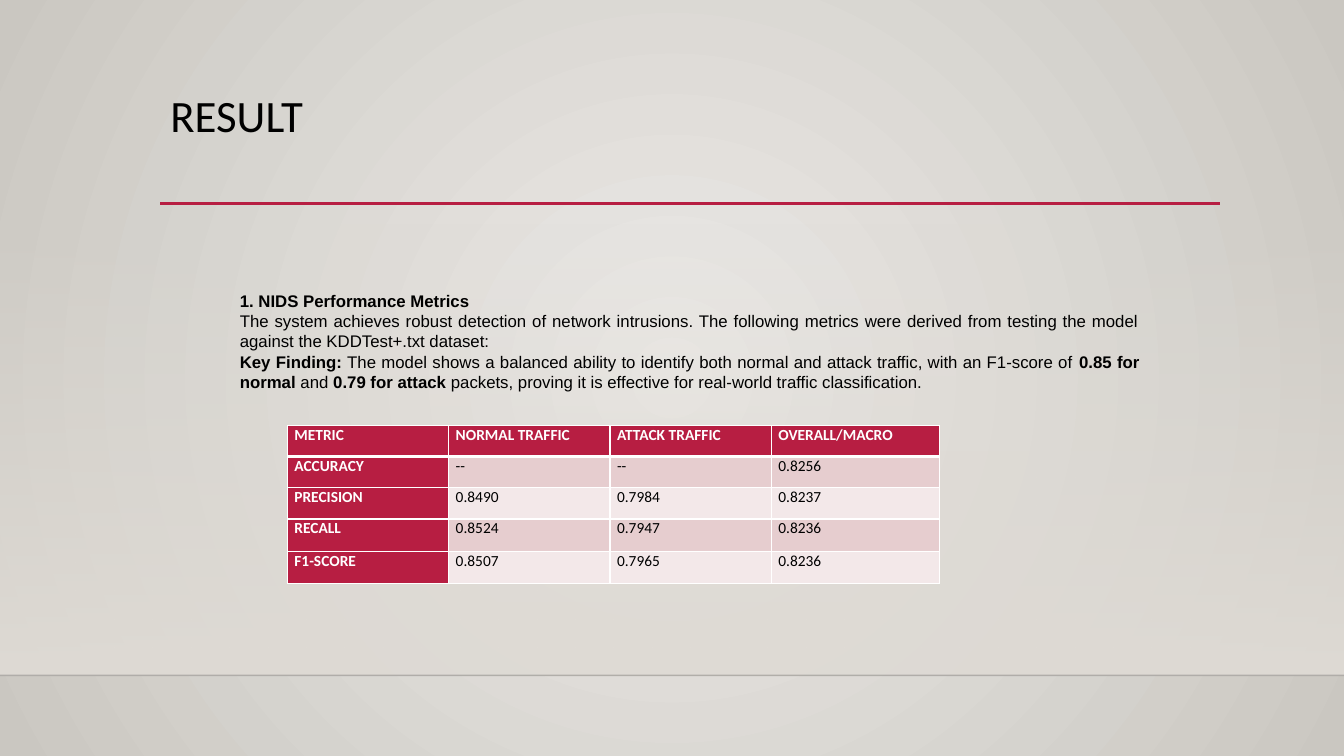
from dataclasses import dataclass

from lxml.etree import SubElement
from pptx import Presentation
from pptx.dml.color import RGBColor
from pptx.enum.shapes import MSO_CONNECTOR as Connector, MSO_SHAPE as Shape
from pptx.enum.text import MSO_ANCHOR as Anchor, MSO_AUTO_SIZE as AutoSize, PP_ALIGN as Align
from pptx.oxml.ns import qn
from pptx.util import Inches, Pt

CRIMSON, WHITE, BLACK = "B71E42", "FFFFFF", "000000"
BANDS = ("E6CDCF", "F3E8E9")


@dataclass
class Stop:
    position: int
    color: str
    opacity: int = 100


@dataclass
class Rule:
    left: float
    right: float
    top: float
    color: str
    width: float
    opacity: int = 100


@dataclass
class Piece:
    text: str
    bold: bool = False


RULES = [
    Rule(0, 13.33, 6.7, "000001", 1, 20),
    Rule(1.59, 12.1, 2.02, CRIMSON, 2.5),
]
FINDINGS = [
    [Piece("1. NIDS Performance Metrics", True)],
    [Piece("The system achieves robust detection of network intrusions. The following "
           "metrics were derived from testing the model against the KDDTest+.txt dataset:")],
    [
        Piece("Key Finding:", True),
        Piece(" The model shows a balanced ability to identify both normal and attack "
              "traffic, with an F1-score of "),
        Piece("0.85 for normal", True),
        Piece(" and "),
        Piece("0.79 for attack", True),
        Piece(" packets, proving it is effective for real-world traffic classification."),
    ],
]
METRICS = [
    ("METRIC", "NORMAL TRAFFIC", "ATTACK TRAFFIC", "OVERALL/MACRO"),
    ("ACCURACY", "--", "--", "0.8256"),
    ("PRECISION", "0.8490", "0.7984", "0.8237"),
    ("RECALL", "0.8524", "0.7947", "0.8236"),
    ("F1-SCORE", "0.8507", "0.7965", "0.8236"),
]
COLUMN_WIDTHS = (1.6, 1.6, 1.6, 1.67)
ROW_HEIGHTS = (0.31, 0.31, 0.31, 0.32, 0.32)


def rgb(color: str) -> RGBColor:
    return RGBColor.from_string(color)


def add_color(parent, color: str, opacity: int = 100) -> None:
    node = SubElement(parent, qn("a:srgbClr"), val=color)
    if opacity < 100:
        SubElement(node, qn("a:alpha"), val=str(opacity * 1000))


def set_gradient(owner, stops: list[Stop], circular: bool = False) -> None:
    """Replace the stops and direction of the gradient inside owner."""
    gradient = next(owner.iter(qn("a:gradFill")))
    for child in list(gradient):
        gradient.remove(child)
    stop_list = SubElement(gradient, qn("a:gsLst"))
    for stop in stops:
        node = SubElement(stop_list, qn("a:gs"), pos=str(stop.position * 1000))
        add_color(node, stop.color, stop.opacity)
    if circular:
        direction = SubElement(gradient, qn("a:path"), path="circle")
        SubElement(direction, qn("a:fillToRect"), l="50000", t="50000", r="50000", b="50000")
    else:
        SubElement(gradient, qn("a:lin"), ang="5400000", scaled="0")


def style_span(span, font: str, size: float, color: str, bold: bool = False) -> None:
    span.font.name, span.font.size, span.font.bold = font, Pt(size), bold
    span.font.color.rgb = rgb(color)


def draw_rule(page, rule: Rule) -> None:
    line = page.shapes.add_connector(
        Connector.STRAIGHT, Inches(rule.left), Inches(rule.top),
        Inches(rule.right), Inches(rule.top))
    line.line.width = Pt(rule.width)
    line.line.color.rgb = rgb(rule.color)
    if rule.opacity < 100:
        color = next(line.element.spPr.iter(qn("a:srgbClr")))
        SubElement(color, qn("a:alpha"), val=str(rule.opacity * 1000))
    SubElement(line.element.spPr, qn("a:effectLst"))


def set_borders(cell, widths: dict[str, float]) -> None:
    properties = cell._tc.get_or_add_tcPr()
    for side, width in widths.items():
        border = SubElement(properties, qn(f"a:ln{side}"), w=str(Pt(width)))
        add_color(SubElement(border, qn("a:solidFill")), WHITE)


def draw_cell(cell, text: str, row: int, column: int) -> None:
    heading = row == 0 or column == 0
    set_borders(cell, {"L": 1, "R": 1, "T": 3 if row == 1 else 1, "B": 3 if row == 0 else 1})
    cell.fill.solid()
    cell.fill.fore_color.rgb = rgb(CRIMSON if heading else BANDS[(row - 1) % 2])
    cell.margin_left = cell.margin_right = Inches(0.07)
    cell.margin_top = cell.margin_bottom = 0
    para = cell.text_frame.paragraphs[0]
    para.text = text
    para.alignment = Align.JUSTIFY
    style_span(para.runs[0], "Calibri", 11, WHITE if heading else BLACK, heading)


def draw_backdrop(page) -> None:
    page.background.fill.gradient()
    set_gradient(page.element, [Stop(0, "ECEAE7"), Stop(100, "CAC7C1")], circular=True)
    wall = page.shapes.add_shape(
        Shape.RECTANGLE, 0, Inches(2.21), Inches(13.33), Inches(4.49))
    wall.shadow.inherit = False
    wall.line.fill.background()
    wall.fill.gradient()
    set_gradient(wall.element, [Stop(0, "DFDBD5", 0), Stop(100, "DFDBD5")])
    for rule in RULES:
        draw_rule(page, rule)


def draw_title(page) -> None:
    title = page.shapes.title
    title.left, title.top = Inches(1.59), Inches(0.88)
    title.width, title.height = Inches(10.5), Inches(1.15)
    frame = title.text_frame
    frame.text = "RESULT"
    frame.auto_size = AutoSize.NONE
    frame.vertical_anchor = Anchor.TOP
    para = frame.paragraphs[0]
    para.alignment = Align.LEFT
    para.line_spacing = 0.9
    style_span(para.runs[0], "Calibri", 32, BLACK)


def draw_metrics(page) -> None:
    table = page.shapes.add_table(
        len(METRICS), len(COLUMN_WIDTHS), Inches(2.85), Inches(4.22),
        Inches(sum(COLUMN_WIDTHS)), Inches(sum(ROW_HEIGHTS))).table
    table.first_col = True
    for column, width in zip(table.columns, COLUMN_WIDTHS):
        column.width = Inches(width)
    for row, height in zip(table.rows, ROW_HEIGHTS):
        row.height = Inches(height)
    for row, texts in enumerate(METRICS):
        for column, text in enumerate(texts):
            draw_cell(table.cell(row, column), text, row, column)


def draw_findings(page) -> None:
    box = page.shapes.add_textbox(Inches(2.28), Inches(2.83), Inches(9.12), Inches(1.11))
    frame = box.text_frame
    frame.word_wrap = True
    frame.auto_size = AutoSize.SHAPE_TO_FIT_TEXT
    frame.vertical_anchor = Anchor.MIDDLE
    for index, pieces in enumerate(FINDINGS):
        para = frame.add_paragraph() if index else frame.paragraphs[0]
        para.alignment = Align.JUSTIFY
        for piece in pieces:
            span = para.add_run()
            span.text = piece.text
            style_span(span, "Arial", 12, BLACK, piece.bold)


def main() -> None:
    deck = Presentation()
    deck.slide_width, deck.slide_height = Inches(13.33), Inches(7.5)
    page = deck.slides.add_slide(deck.slide_layouts.get_by_name("Title Only"))
    draw_backdrop(page)
    draw_title(page)
    draw_metrics(page)
    draw_findings(page)
    deck.save("out.pptx")


if __name__ == "__main__":
    main()
